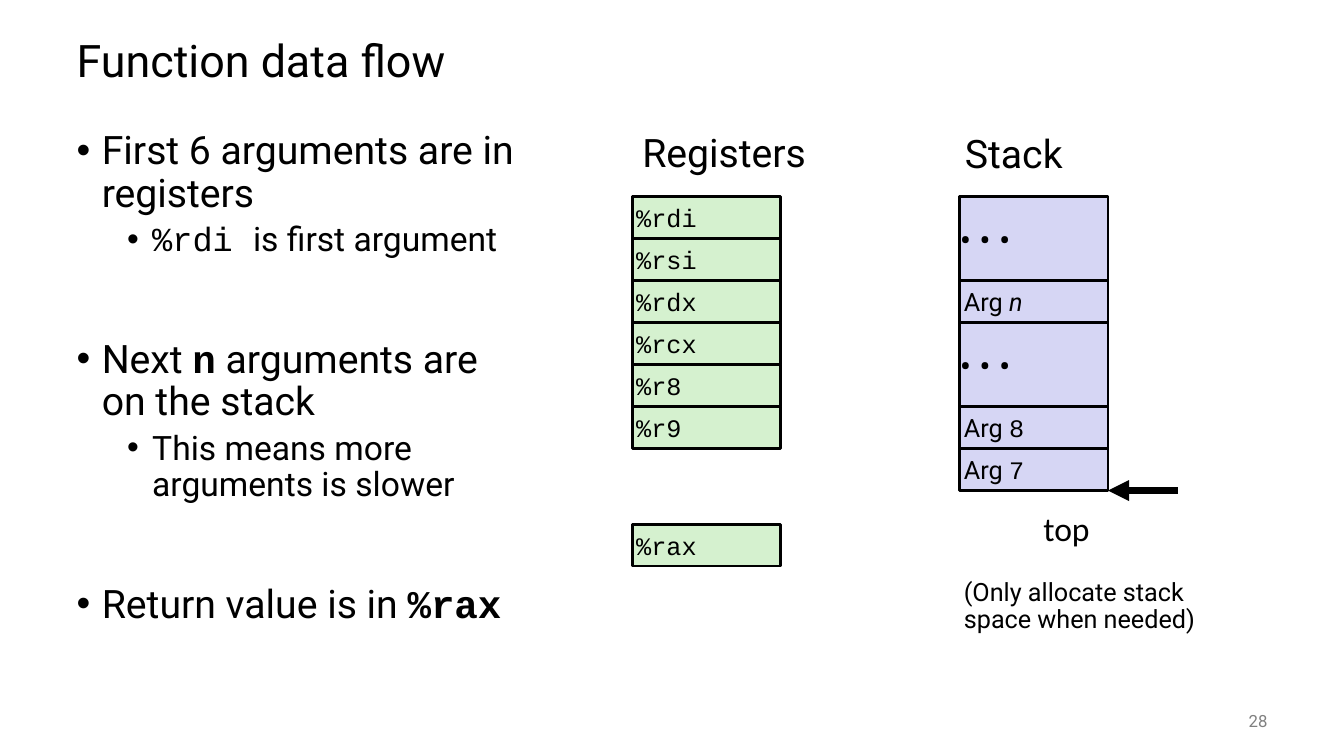
from dataclasses import dataclass

from lxml.etree import SubElement
from pptx import Presentation
from pptx.dml.color import RGBColor
from pptx.enum.shapes import MSO_CONNECTOR, MSO_SHAPE
from pptx.enum.text import MSO_ANCHOR, MSO_AUTO_SIZE, PP_ALIGN
from pptx.oxml.ns import qn
from pptx.util import Inches, Pt


@dataclass(frozen=True)
class Theme:
    """Colours, fonts and type sizes of the slide."""
    ink: RGBColor = RGBColor(0x00, 0x00, 0x00)
    muted: RGBColor = RGBColor(0x80, 0x80, 0x80)
    register: RGBColor = RGBColor(0xD5, 0xF1, 0xCF)
    stack: RGBColor = RGBColor(0xD6, 0xD6, 0xF4)
    sans: str = "Roboto"
    code: str = "Courier New"
    label: str = "Calibri"
    title: int = 32
    body: int = 28
    detail: int = 24
    cell: int = 18
    footer: int = 12


THEME = Theme()
ROW = 1.25 / 3
CELL_WIDTH = 1.47
TOP = 1.95
REGISTER_LEFT = 6.27
STACK_LEFT = 9.52
REGISTERS = ["%rdi", "%rsi", "%rdx", "%rcx", "%r8", "%r9"]
DOTS = [("• • •", THEME.sans)]
STACK = [
    (2, DOTS),
    (1, [("Arg ", THEME.sans), ("n", THEME.sans, "italic")]),
    (2, DOTS),
    (1, [("Arg ", THEME.sans), ("8", THEME.code)]),
    (1, [("Arg ", THEME.sans), ("7", THEME.code)]),
]
POINTS = [
    (0, 0, [("First 6 arguments are in registers", THEME.sans)]),
    (1, 5, [("%rdi ", THEME.code), ("is first argument", THEME.sans)]),
    (0, 57.5, [("Next ", THEME.sans), ("n", THEME.code, "bold"),
               (" arguments are on the stack", THEME.sans)]),
    (1, 5, [("This means more arguments is slower", THEME.sans)]),
    (0, 57.5, [("Return value is in ", THEME.sans), ("%rax", THEME.code, "bold")]),
]


def write(paragraph, pieces, size, color=THEME.ink, align=PP_ALIGN.LEFT):
    """Fill a paragraph with (text, font, optional style) pieces."""
    paragraph.alignment = align
    for text, font, *styles in pieces:
        run = paragraph.add_run()
        run.text = text
        run.font.name = font
        run.font.size = Pt(size)
        run.font.color.rgb = color
        run.font.bold = "bold" in styles
        run.font.italic = "italic" in styles


def place(shape, left, top, width, height):
    """Move and size a shape, in inches."""
    shape.left, shape.top = Inches(left), Inches(top)
    shape.width, shape.height = Inches(width), Inches(height)


def add_plain(placeholder, box, text, size, anchor=MSO_ANCHOR.TOP):
    """Fill a placeholder with one line of unbulleted text."""
    place(placeholder, *box)
    frame = placeholder.text_frame
    frame.auto_size = MSO_AUTO_SIZE.NONE
    frame.vertical_anchor = anchor
    paragraph = frame.paragraphs[0]
    properties = paragraph._p.get_or_add_pPr()
    properties.set("marL", "0")
    properties.set("indent", "0")
    SubElement(properties, qn("a:buNone"))
    paragraph.line_spacing = 0.9
    paragraph.space_before = Pt(0)
    write(paragraph, [(text, THEME.sans)], size)


def add_points(placeholder, box, points):
    """Fill a placeholder with two levels of bullets."""
    place(placeholder, *box)
    frame = placeholder.text_frame
    frame.auto_size = MSO_AUTO_SIZE.NONE
    for index, (level, space, pieces) in enumerate(points):
        paragraph = frame.add_paragraph() if index else frame.paragraphs[0]
        paragraph.level = level
        properties = paragraph._p.get_or_add_pPr()
        properties.set("marL", str(Inches(0.25 + 0.5 * level)))
        properties.set("indent", str(-Inches(0.25)))
        SubElement(properties, qn("a:buFont"), typeface="Arial")
        SubElement(properties, qn("a:buChar"), char="•")
        paragraph.line_spacing = 0.9
        paragraph.space_before = Pt(space)
        write(paragraph, pieces, THEME.detail if level else THEME.body)


def add_cell(shapes, left, top, rows, fill, pieces, size=THEME.cell, inset=0.04):
    """Draw one outlined memory cell."""
    cell = shapes.add_shape(MSO_SHAPE.RECTANGLE, Inches(left), Inches(top),
                            Inches(CELL_WIDTH), Inches(rows * ROW))
    cell.shadow.inherit = False
    cell.fill.solid()
    cell.fill.fore_color.rgb = fill
    cell.line.color.rgb = THEME.ink
    cell.line.width = Pt(2)
    frame = cell.text_frame
    frame.vertical_anchor = MSO_ANCHOR.MIDDLE
    frame.margin_left = frame.margin_right = Inches(inset)
    frame.margin_top = frame.margin_bottom = Inches(inset)
    write(frame.paragraphs[0], pieces, size)


def add_registers(slide):
    """Draw the argument registers and the return register."""
    tops = [TOP + index * ROW for index in range(len(REGISTERS))]
    for name, top in zip(REGISTERS + ["%rax"], tops + [5.2]):
        add_cell(slide.shapes, REGISTER_LEFT, top, 1, THEME.register, [(name, THEME.code)])


def add_stack(slide):
    """Draw the grouped stack cells and return the bottom edge."""
    group = slide.shapes.add_group_shape()
    top = TOP
    for rows, pieces in STACK:
        size, inset = (THEME.detail, 0) if pieces is DOTS else (THEME.cell, 0.04)
        add_cell(group.shapes, STACK_LEFT, top, rows, THEME.stack, pieces, size, inset)
        top += rows * ROW
    return top


def add_pointer(slide, start, end, y):
    """Draw a thick horizontal arrow."""
    arrow = slide.shapes.add_connector(MSO_CONNECTOR.STRAIGHT, Inches(start), Inches(y),
                                       Inches(end), Inches(y))
    arrow.line.color.rgb = THEME.ink
    arrow.line.width = Pt(5)
    SubElement(arrow.line._get_or_add_ln(), qn("a:tailEnd"), type="triangle")
    SubElement(arrow._element.spPr, qn("a:effectLst"))


def add_label(slide, box, text, font, size, color, align, wrap, anchor):
    """Add a free text label."""
    label = slide.shapes.add_textbox(*(Inches(length) for length in box))
    frame = label.text_frame
    frame.word_wrap = wrap
    frame.vertical_anchor = anchor
    write(frame.paragraphs[0], [(text, font)], size, color, align)


def main():
    """Build and save the slide."""
    deck = Presentation()
    deck.slide_width, deck.slide_height = Inches(13.33), Inches(7.5)
    slide = deck.slides.add_slide(deck.slide_layouts.get_by_name("Comparison"))
    title, registers, points, stack, note = slide.placeholders

    add_plain(title, (0.66, 0.25, 12, 0.75), "Function data flow", THEME.title,
              MSO_ANCHOR.MIDDLE)
    add_points(points, (0.66, 1.25, 4.57, 5.5), POINTS)
    add_plain(registers, (6.27, 1.28, 4.42, 0.7), "Registers", THEME.body)
    add_plain(stack, (9.47, 1.29, 1.75, 0.7), "Stack", THEME.body)
    add_plain(note, (9.46, 5.7, 2.56, 0.83), "(Only allocate stack space when needed)",
              THEME.cell)

    add_registers(slide)
    stack_bottom = add_stack(slide)
    add_label(slide, (10.25, 4.99, 0.66, 0.5), "top", THEME.label, THEME.detail,
              THEME.ink, PP_ALIGN.LEFT, False, MSO_ANCHOR.TOP)
    add_pointer(slide, 11.68, STACK_LEFT + CELL_WIDTH, stack_bottom)
    add_label(slide, (11.67, 6.95, 1, 0.4), "28", THEME.sans, THEME.footer,
              THEME.muted, PP_ALIGN.RIGHT, True, MSO_ANCHOR.MIDDLE)
    deck.save("out.pptx")


if __name__ == "__main__":
    main()
